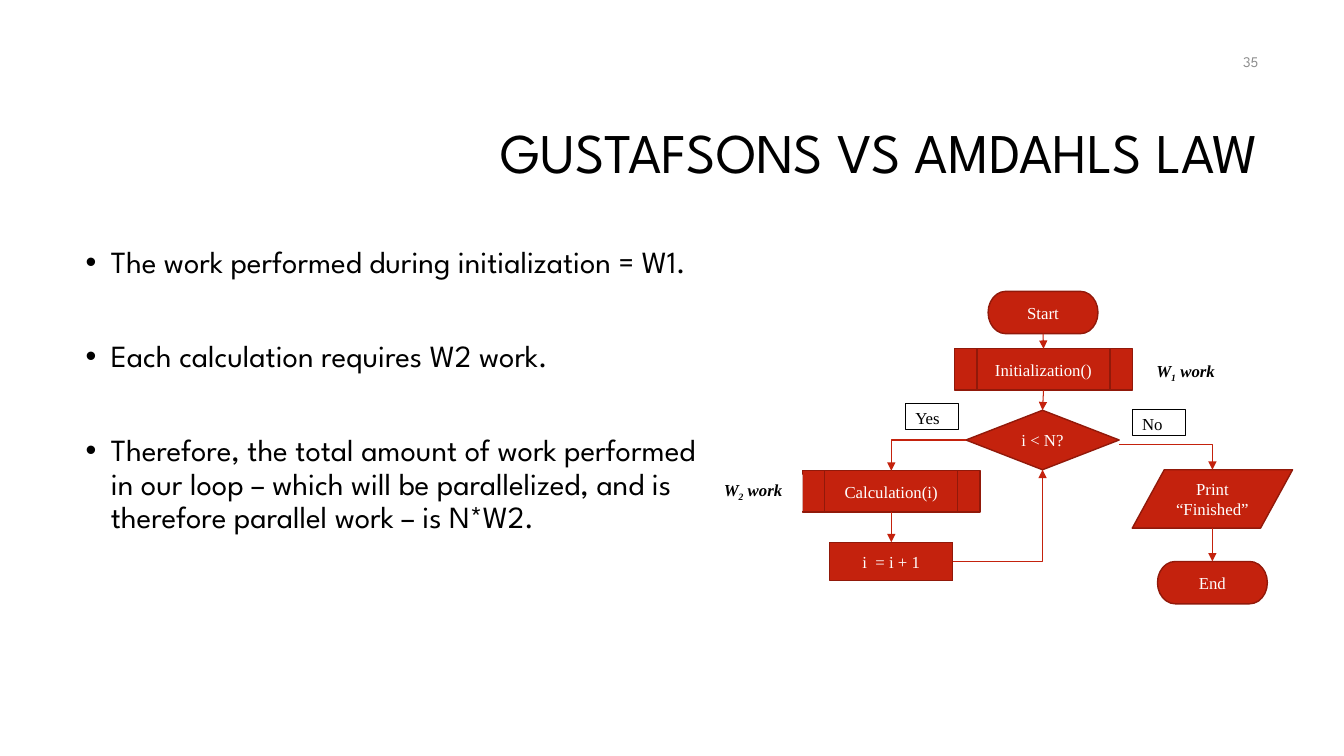
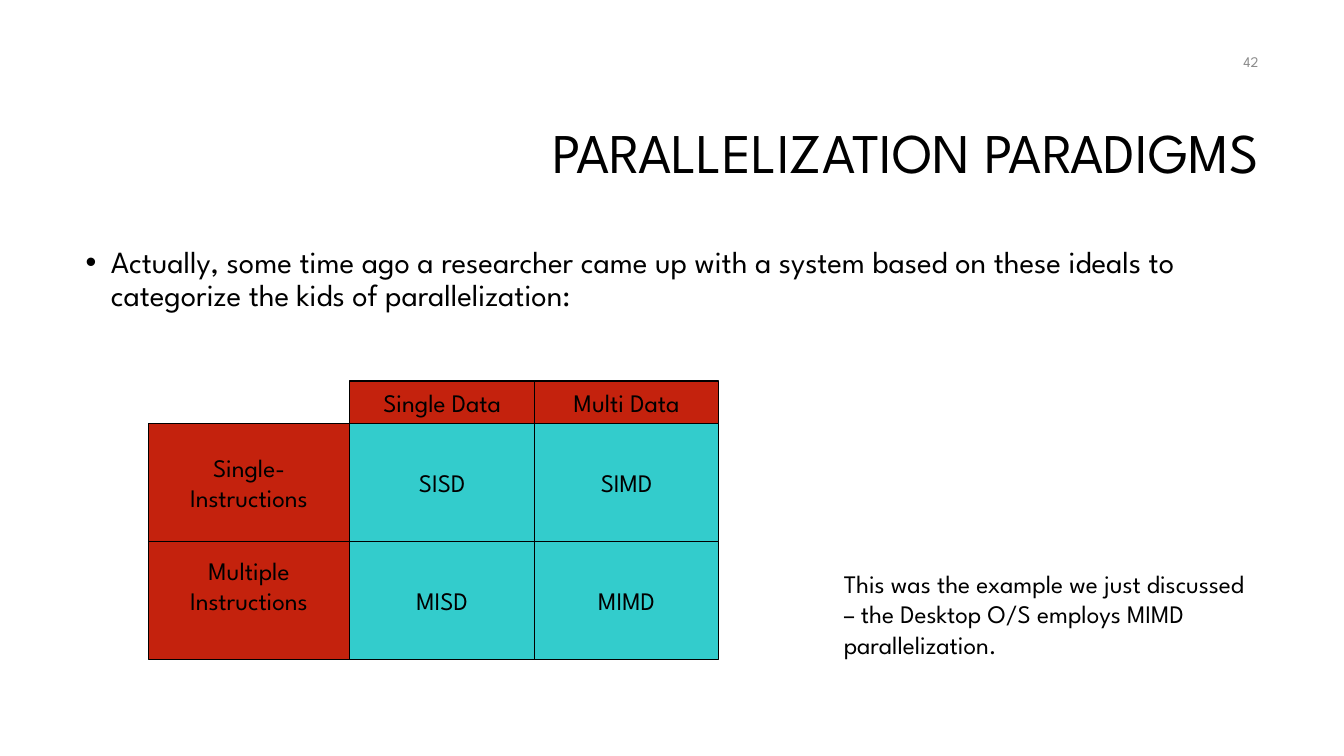
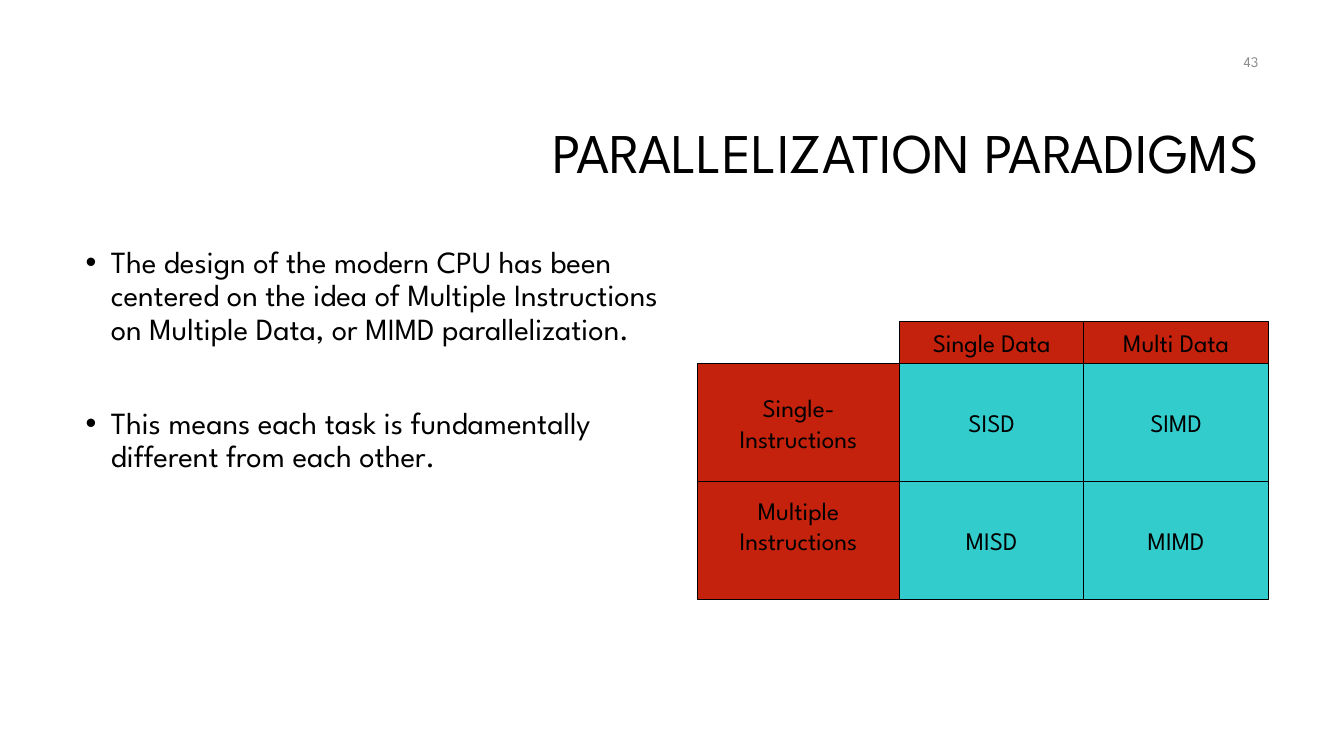
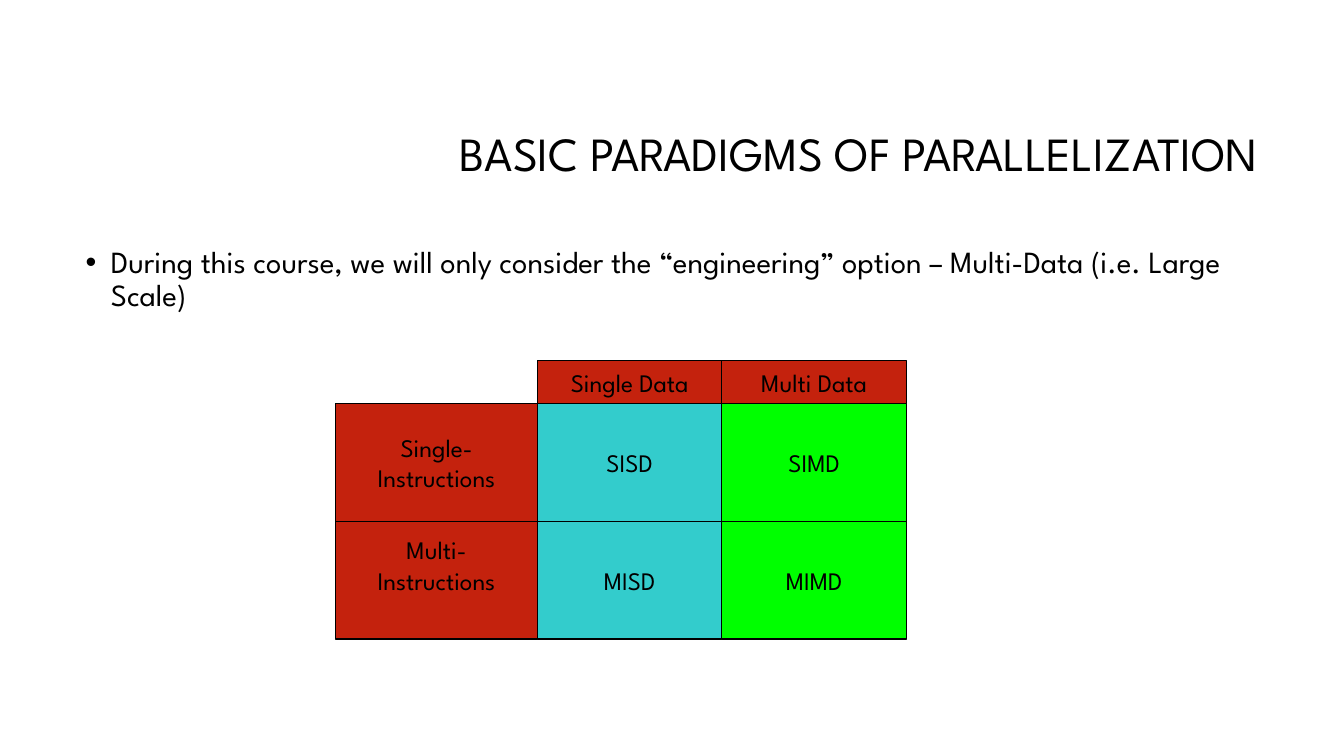
from dataclasses import dataclass

from lxml.etree import SubElement
from pptx import Presentation
from pptx.dml.color import RGBColor
from pptx.enum.shapes import MSO_CONNECTOR, MSO_SHAPE
from pptx.enum.text import MSO_ANCHOR, MSO_AUTO_SIZE, PP_ALIGN
from pptx.oxml.ns import qn
from pptx.util import Inches, Pt


@dataclass(frozen=True)
class Theme:
    font: str = "League Spartan"
    chart_font: str = "Times New Roman"
    black: RGBColor = RGBColor(0x00, 0x00, 0x00)
    white: RGBColor = RGBColor(0xFF, 0xFF, 0xFF)
    grey: RGBColor = RGBColor(0x8C, 0x8C, 0x8C)
    red: RGBColor = RGBColor(0xC4, 0x22, 0x0D)
    dark_red: RGBColor = RGBColor(0x91, 0x19, 0x0A)
    teal: RGBColor = RGBColor(0x33, 0xCC, 0xCC)
    green: RGBColor = RGBColor(0x00, 0xFF, 0x00)
    title_size: float = 40
    long_title_size: float = 34
    body_size: float = 22
    matrix_size: float = 18
    flow_size: float = 12
    number_size: float = 10.5


THEME = Theme()
FULL_WIDTH = 11.83


def style(paragraph, size, color=THEME.black, font=THEME.font, align=None):
    paragraph.font.size = Pt(size)
    paragraph.font.name = font
    paragraph.font.color.rgb = color
    paragraph.alignment = align


def place(shape, left, top, width, height):
    shape.left, shape.top = Inches(left), Inches(top)
    shape.width, shape.height = Inches(width), Inches(height)


def add_text(slide, text, box, size, color=THEME.black, align=None,
             anchor=MSO_ANCHOR.TOP):
    frame = slide.shapes.add_textbox(*map(Inches, box)).text_frame
    frame.word_wrap = True
    frame.vertical_anchor = anchor
    frame.text = text
    style(frame.paragraphs[0], size, color, align=align)


def add_box(slide, kind, box, fill, line=None, line_width=1):
    shape = slide.shapes.add_shape(kind, *map(Inches, box))
    shape.shadow.inherit = False
    shape.fill.solid()
    shape.fill.fore_color.rgb = fill
    if line is None:
        shape.line.fill.background()
    else:
        shape.line.color.rgb = line
        shape.line.width = Pt(line_width)
    return shape


def add_content_slide(deck, title, bullets, number=None, body_width=FULL_WIDTH,
                      title_size=THEME.title_size):
    slide = deck.slides.add_slide(deck.slide_layouts[1])
    heading, body = slide.placeholders
    place(heading, 3.17, 0.84, 9.41, 1.41)
    heading.text_frame.text = title
    heading.text_frame.vertical_anchor = MSO_ANCHOR.MIDDLE
    heading_line = heading.text_frame.paragraphs[0]
    heading_line.line_spacing = 0.9
    style(heading_line, title_size, align=PP_ALIGN.RIGHT)

    place(body, 0.75, 2.4, body_width, 4.4)
    body.text_frame.text = "\n".join(bullets)
    for index, bullet in enumerate(body.text_frame.paragraphs):
        style(bullet, THEME.body_size)
        bullet.line_spacing = 0.9
        bullet.space_before = Pt(43.5 if index else 10)
        properties = bullet._p.get_or_add_pPr()
        properties.set("marL", str(Inches(0.25)))
        properties.set("indent", str(-Inches(0.25)))
    for frame in (heading.text_frame, body.text_frame):
        frame.auto_size = MSO_AUTO_SIZE.NONE

    if number:
        add_text(slide, str(number), (9.58, 0.41, 3, 0.4), THEME.number_size,
                 THEME.grey, PP_ALIGN.RIGHT, MSO_ANCHOR.MIDDLE)
    return slide


def add_paradigm_matrix(slide, left, top, multiple="Multiple\nInstructions",
                        multi_data_color=THEME.teal):
    """Draw the instruction/data matrix with its upper left corner left open."""
    rows = (("", "Single Data", "Multi Data"),
            ("Single-\nInstructions", "SISD", "SIMD"),
            (multiple, "MISD", "MIMD"))
    widths, heights = (2, 1.83, 1.83), (0.42, 1.17, 1.17)
    for r, labels in enumerate(rows):
        for c, label in enumerate(labels):
            if not label:
                continue
            if r == 0 or c == 0:
                fill = THEME.red
            else:
                fill = multi_data_color if c == 2 else THEME.teal
            box = (left + sum(widths[:c]), top + sum(heights[:r]),
                   widths[c], heights[r])
            cell = add_box(slide, MSO_SHAPE.RECTANGLE, box, fill, THEME.black, 0.75)
            frame = cell.text_frame
            frame.word_wrap = False
            frame.text = label
            for line in frame.paragraphs:
                style(line, THEME.matrix_size, align=PP_ALIGN.CENTER)
            if label == multiple:
                frame.margin_bottom = Inches(0.35)


def add_flowchart(slide, left, top):
    def add_step(kind, text, x, y, width, height):
        step = add_box(slide, kind, (left + x, top + y, width, height),
                       THEME.red, THEME.dark_red)
        step.text_frame.text = text
        style(step.text_frame.paragraphs[0], THEME.flow_size, THEME.white,
              THEME.chart_font, PP_ALIGN.CENTER)
        return step

    def add_note(runs, x, y, width, height, line=None):
        note = add_box(slide, MSO_SHAPE.RECTANGLE,
                       (left + x, top + y, width, height), THEME.white, line, 0.5)
        note.text_frame.vertical_anchor = MSO_ANCHOR.TOP
        paragraph = note.text_frame.paragraphs[0]
        for text in runs:
            paragraph.add_run().text = text
        style(paragraph, THEME.flow_size, font=THEME.chart_font,
              align=PP_ALIGN.LEFT)
        return paragraph

    def add_arrow(start, end, bent=False):
        kind = MSO_CONNECTOR.ELBOW if bent else MSO_CONNECTOR.STRAIGHT
        arrow = slide.shapes.add_connector(kind, *start, *end)
        arrow.line.color.rgb = THEME.red
        arrow.line.width = Pt(0.75)
        SubElement(arrow.line._get_or_add_ln(), qn("a:tailEnd"), type="triangle")
        properties = arrow._element.spPr
        SubElement(properties, qn("a:effectLst"))
        if bent:
            properties.find(qn("a:prstGeom")).set("prst", "bentConnector2")
        return arrow

    def side(shape, across, down):
        """Return the point at the given fractions of the shape's box."""
        return (shape.left + int(shape.width * across),
                shape.top + int(shape.height * down))

    terminator = MSO_SHAPE.FLOWCHART_TERMINATOR
    subroutine = MSO_SHAPE.FLOWCHART_PREDEFINED_PROCESS
    start = add_step(terminator, "Start", 2.72, 0, 1.09, 0.42)
    initialization = add_step(subroutine, "Initialization()", 2.39, 0.57, 1.76, 0.41)
    decision = add_step(MSO_SHAPE.FLOWCHART_DECISION, "i < N?", 2.5, 1.18, 1.52, 0.59)
    calculation = add_step(subroutine, "Calculation(i)", 0.88, 1.78, 1.76, 0.41)
    increment = add_step(MSO_SHAPE.FLOWCHART_PROCESS, "i  = i + 1",
                         1.15, 2.49, 1.22, 0.38)
    output = add_step(MSO_SHAPE.FLOWCHART_DATA, "Print “Finished”",
                      4.15, 1.77, 1.59, 0.58)
    end = add_step(terminator, "End", 4.4, 2.68, 1.09, 0.42)

    for upper, lower in ((start, initialization), (initialization, decision),
                         (calculation, increment), (output, end)):
        arrow = add_arrow(side(upper, 0.5, 1), side(lower, 0.5, 0))
        if upper is not output:
            arrow.begin_connect(upper, 2)
        arrow.end_connect(lower, 0)
    add_arrow(side(decision, 0, 0.5), side(calculation, 0.5, 0), bent=True)
    add_arrow(side(decision, 1, 0.58), side(output, 0.5, 0), bent=True)
    add_arrow(side(increment, 1, 0.5), side(decision, 0.5, 1), bent=True)

    add_note(["Yes"], 1.9, 1.11, 0.53, 0.26, THEME.black)
    add_note(["No"], 4.15, 1.17, 0.53, 0.26, THEME.black)
    for index, box in (("1", (4.29, 0.64, 0.92, 0.33)),
                       ("2", (0, 1.82, 0.88, 0.36))):
        work = add_note(["W", index, " work"], *box)
        work.font.bold = work.font.italic = True
        work.runs[1].font._element.set("baseline", "-25000")


def main():
    deck = Presentation()
    deck.slide_width, deck.slide_height = Inches(13.33), Inches(7.5)

    laws = add_content_slide(deck, "GUSTAFSONS VS AMDAHLS LAW", [
        "The work performed during initialization = W1.",
        "Each calculation requires W2 work.",
        "Therefore, the total amount of work performed in our loop – which will "
        "be parallelized, and is therefore parallel work – is N*W2.",
    ], 35, body_width=6.27)
    add_flowchart(laws, 7.08, 2.89)

    categories = add_content_slide(deck, "PARALLELIZATION PARADIGMS", [
        "Actually, some time ago a researcher came up with a system based on "
        "these ideals to categorize the kids of parallelization:",
    ], 42)
    add_paradigm_matrix(categories, 1.47, 3.78)
    add_text(categories, "This was the example we just discussed – the Desktop "
             "O/S employs MIMD parallelization.", (8.27, 5.59, 4.31, 1.01),
             THEME.matrix_size)

    modern_cpu = add_content_slide(deck, "PARALLELIZATION PARADIGMS", [
        "The design of the modern CPU has been centered on the idea of Multiple "
        "Instructions on Multiple Data, or MIMD parallelization.",
        "This means each task is fundamentally different from each other.",
    ], 43, body_width=5.94)
    add_paradigm_matrix(modern_cpu, 6.92, 3.19)

    course_scope = add_content_slide(deck, "BASIC PARADIGMS OF PARALLELIZATION", [
        "During this course, we will only consider the “engineering” option – "
        "Multi-Data (i.e. Large Scale)",
    ], title_size=THEME.long_title_size)
    add_paradigm_matrix(course_scope, 3.33, 3.58, "Multi-\nInstructions", THEME.green)

    deck.save("out.pptx")


if __name__ == "__main__":
    main()
